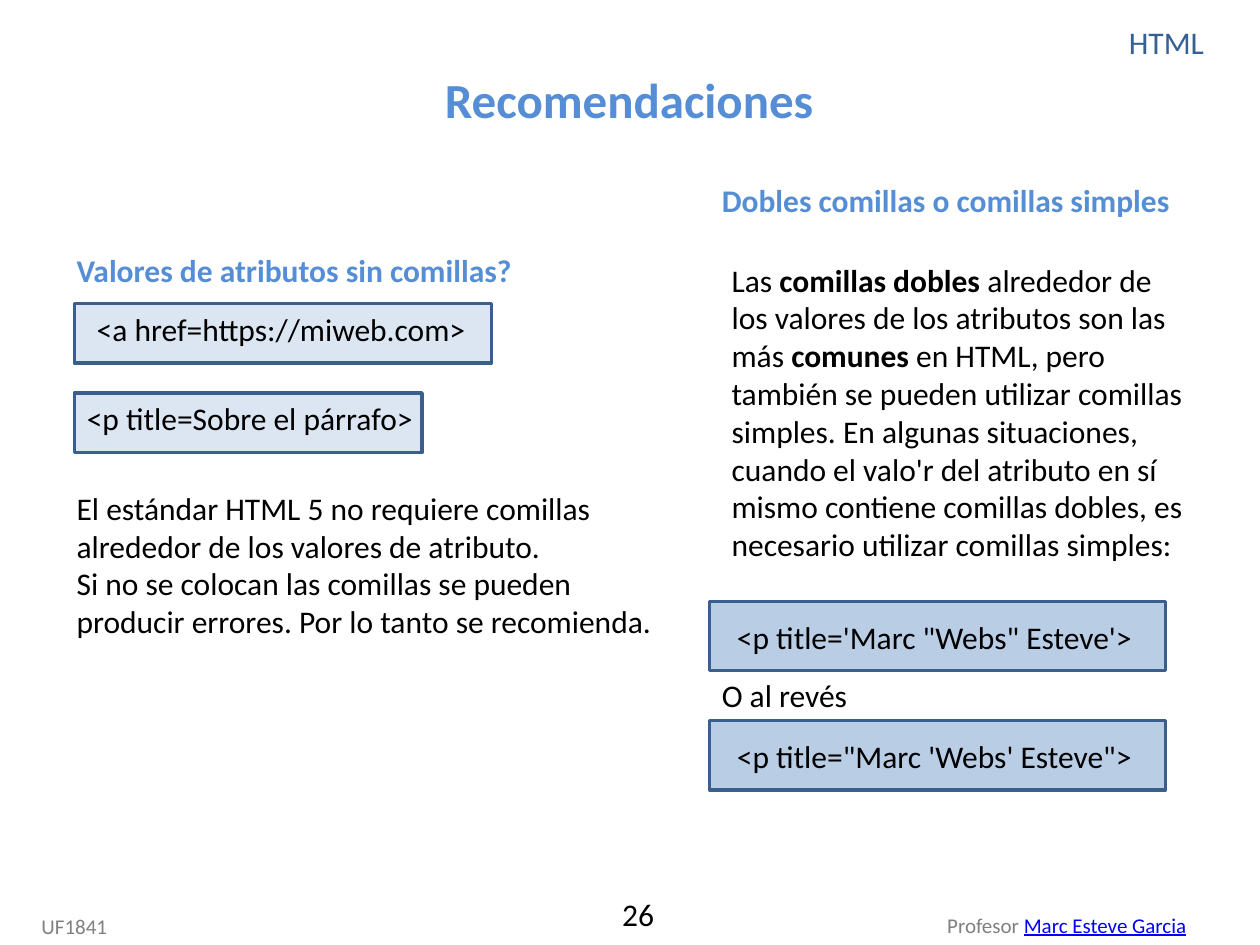
"""Build the slide with recommendations on quoting HTML attribute values."""
from dataclasses import dataclass

from pptx import Presentation
from pptx.dml.color import RGBColor
from pptx.enum.shapes import MSO_SHAPE
from pptx.enum.text import MSO_ANCHOR, MSO_AUTO_SIZE, PP_ALIGN
from pptx.util import Pt

RECTANGLE = MSO_SHAPE.RECTANGLE
TOP = MSO_ANCHOR.TOP
FIT_SHAPE = MSO_AUTO_SIZE.SHAPE_TO_FIT_TEXT
LEFT = PP_ALIGN.LEFT
LINE_BREAK = None


@dataclass(frozen=True)
class Theme:
    """Colours, font and type sizes of the slide."""

    font: str = "Calibri"
    text: str = "000000"
    heading: str = "558ED5"
    subject: str = "376092"
    footer: str = "808080"
    link: str = "0000FF"
    light_fill: str = "DCE6F2"
    strong_fill: str = "B9CDE5"
    outline: str = "3A5F8C"
    title_size: int = 28
    body_size: int = 18
    footer_size: int = 12
    outline_width: int = 2


THEME = Theme()


def write_run(paragraph, text, size=THEME.body_size, color=THEME.text, bold=False, underline=False):
    """Add one formatted run to a paragraph."""
    run = paragraph.add_run()
    run.text = text
    font = run.font
    font.name = THEME.font
    font.size = Pt(size)
    font.bold = bold
    font.underline = underline
    font.color.rgb = RGBColor.from_string(color)


class SlideBuilder:
    """Hold the theme and the current slide, and add elements to it."""

    def __init__(self, slide, theme):
        """Keep the slide and its theme."""
        self.slide = slide
        self.theme = theme

    def fill_text(self, shape, runs, wrap, **style):
        """Write runs, given as text or (text, format) pairs, into a shape."""
        frame = shape.text_frame
        frame.word_wrap = wrap
        frame.auto_size = FIT_SHAPE
        frame.vertical_anchor = TOP
        paragraph = frame.paragraphs[0]
        paragraph.alignment = LEFT
        for run in runs:
            if run is LINE_BREAK:
                paragraph.add_line_break()
                continue
            text, extra = (run, {}) if isinstance(run, str) else run
            write_run(paragraph, text, **{**style, **extra})

    def title(self, text, left, top, width, height):
        """Place and format the title placeholder."""
        shape = self.slide.shapes.title
        shape.left, shape.top = Pt(left), Pt(top)
        shape.width, shape.height = Pt(width), Pt(height)
        self.fill_text(shape, [text], False, size=self.theme.title_size,
                       color=self.theme.heading, bold=True)

    def text(self, runs, left, top, width, height=29, wrap=False, **style):
        """Add a text box."""
        shape = self.slide.shapes.add_textbox(Pt(left), Pt(top), Pt(width), Pt(height))
        self.fill_text(shape, runs, wrap, **style)

    def heading(self, text, left, top, width):
        """Add a section heading."""
        self.text([text], left, top, width, color=self.theme.heading, bold=True)

    def footer(self, runs, left, top, width):
        """Add a footer text."""
        self.text(runs, left, top, width, 21.8, size=self.theme.footer_size,
                  color=self.theme.footer)

    def panel(self, left, top, width, height, fill):
        """Add an outlined rectangle behind a code sample."""
        shape = self.slide.shapes.add_shape(RECTANGLE, Pt(left), Pt(top), Pt(width), Pt(height))
        shape.shadow.inherit = False
        shape.fill.solid()
        shape.fill.fore_color.rgb = RGBColor.from_string(fill)
        shape.line.color.rgb = RGBColor.from_string(self.theme.outline)
        shape.line.width = Pt(self.theme.outline_width)


def main():
    """Create the presentation and save it."""
    presentation = Presentation()
    presentation.slide_width, presentation.slide_height = Pt(720), Pt(540)
    slide = presentation.slides.add_slide(presentation.slide_layouts[5])
    builder = SlideBuilder(slide, THEME)

    builder.title("Recomendaciones", 247, 36, 227.5, 41)
    builder.text(["HTML"], 638, 9.4, 58.3, color=THEME.subject)

    builder.heading("Valores de atributos sin comillas?", 36.7, 140, 265)
    light_samples = (
        ("<a href=https://miweb.com>", 173.5, 238.3, 48.2, 249),
        ("<p title=Sobre el párrafo>", 224.6, 198.7, 42.5, 203),
    )
    for code, top, panel_width, code_left, code_width in light_samples:
        builder.panel(42.5, top, panel_width, 34, THEME.light_fill)
        builder.text([code], code_left, top, code_width)
    builder.text(
        ["El estándar HTML 5 no requiere comillas alrededor de los valores de atributo.",
         LINE_BREAK,
         "Si no se colocan las comillas se pueden producir errores. Por lo tanto se recomienda."],
        36.7, 275.8, 360, 94.3, wrap=True)

    builder.heading("Dobles comillas o comillas simples", 405.4, 100, 272)
    builder.text(
        ["Las ", ("comillas dobles ", {"bold": True}),
         "alrededor de los valores de los atributos son las más ",
         ("comunes", {"bold": True}),
         " en HTML, pero también se pueden utilizar comillas simples. En algunas situaciones, "
         "cuando el valo'r del atributo en sí mismo contiene comillas dobles, "
         "es necesario utilizar comillas simples:"],
        411, 145.4, 272, 203.8, wrap=True)
    strong_samples = (
        ("<p title='Marc \"Webs\" Esteve'>", 343.6, 251.3),
        ("<p title=\"Marc 'Webs' Esteve\">", 411.8, 242.6),
    )
    for code, top, code_width in strong_samples:
        builder.panel(405.4, top, 260.6, 39.6, THEME.strong_fill)
        builder.text([code], 414, top + 5.8, code_width)
    builder.text(["O al revés"], 405.4, 383, 96.5, wrap=True)

    builder.footer(["UF1841"], 16.6, 518.4, 52.6)
    builder.text(["26"], 348.5, 507.6, 33.1)
    builder.footer(
        ["Profesor ", ("Marc Esteve Garcia", {"color": THEME.link, "underline": True})],
        534.2, 517.7, 152.6)

    presentation.save("out.pptx")


if __name__ == "__main__":
    main()
